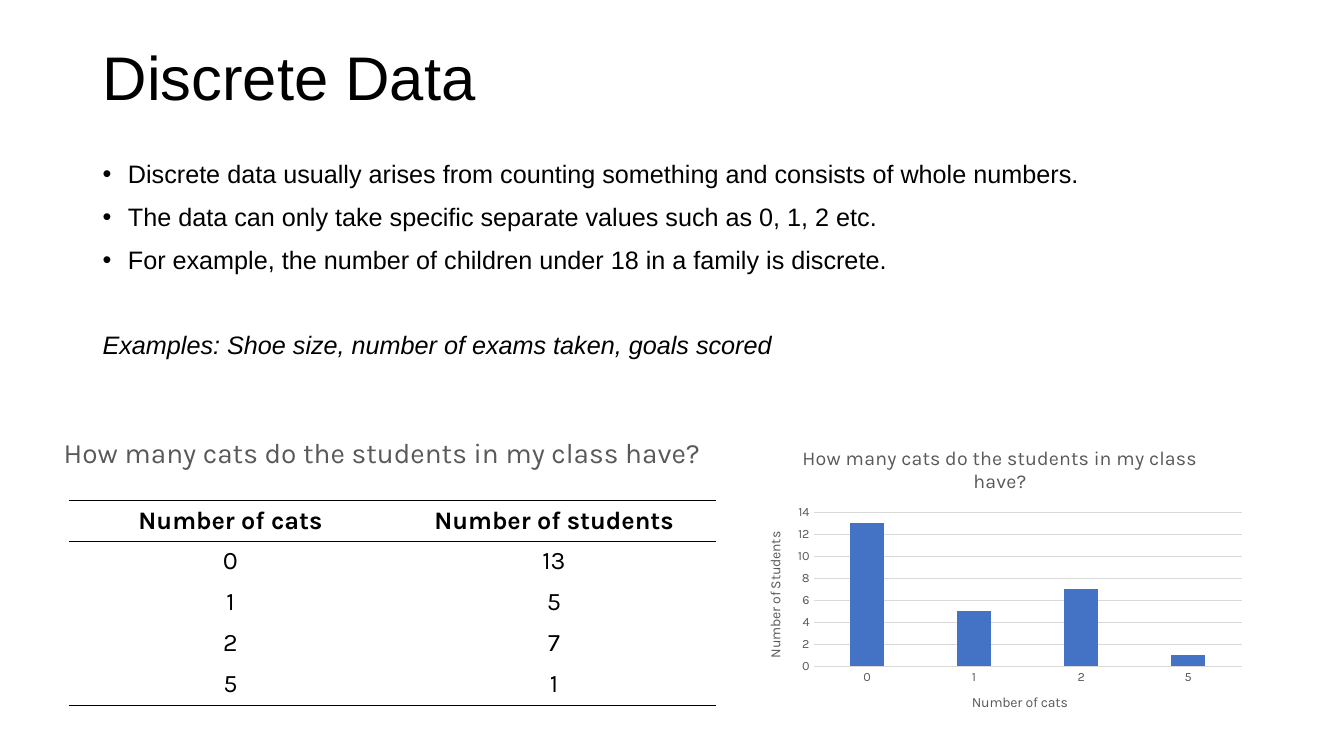
"""Build a slide on discrete data with a list, a table and a column chart."""
import dataclasses

import pptx
import pptx.chart.data
import pptx.dml.color
import pptx.enum.chart
import pptx.enum.text
import pptx.oxml
import pptx.oxml.ns
import pptx.util

Cm = pptx.util.Cm
Pt = pptx.util.Pt
ALIGN = pptx.enum.text.PP_ALIGN
ANCHOR = pptx.enum.text.MSO_ANCHOR
TICK = pptx.enum.chart.XL_TICK_MARK


@dataclasses.dataclass(frozen=True)
class Theme:
    sans: str = "Arial"
    round: str = "Karla"
    ink: str = "000000"
    grey: str = "595959"
    rule: str = "D9D9D9"
    bar: str = "4472C4"
    head: int = 44
    label: int = 20
    text: int = 18
    chart: int = 14
    axis: int = 10
    tick: int = 9


def tint(code):
    return pptx.dml.color.RGBColor.from_string(code)


def style(font, size, color, face, bold=False, slant=False):
    font.size, font.name = Pt(size), face
    font.bold, font.italic = bold, slant
    font.color.rgb = tint(color)


def write(para, text, align=ALIGN.LEFT, before=0, after=0, lead=1.0, **look):
    run = para.add_run()
    run.text = text
    para.alignment = align
    para.space_before, para.space_after = Pt(before), Pt(after)
    para.line_spacing = lead
    style(run.font, **look)


def node(tag, inner="", **attrs):
    pairs = "".join(f' {key}="{val}"' for key, val in attrs.items())
    space = pptx.oxml.ns.nsdecls(*{"a", tag.split(":")[0]})
    return pptx.oxml.parse_xml(f"<{tag} {space}{pairs}>{inner}</{tag}>")


class Page:
    def __init__(self, deck, theme):
        self.theme = theme
        self.slide = deck.slides.add_slide(deck.slide_layouts[1])

    def place(self, shape, left, top, width, height):
        shape.left, shape.top = Cm(left), Cm(top)
        shape.width, shape.height = Cm(width), Cm(height)
        return shape.text_frame

    def title(self, text, *box):
        look = self.theme
        frame = self.place(self.slide.shapes.title, *box)
        frame.vertical_anchor = ANCHOR.MIDDLE
        write(frame.paragraphs[0], text, lead=0.9, size=look.head,
              color=look.ink, face=look.sans)

    def list(self, items, close, *box):
        look = self.theme
        frame = self.place(self.slide.placeholders[1], *box)
        frame.vertical_anchor = ANCHOR.TOP
        for index, text in enumerate([*items, close]):
            para = frame.add_paragraph() if index else frame.paragraphs[0]
            last = index == len(items)
            indent = 0 if last else Cm(0.64)
            props = para._p.get_or_add_pPr()
            props.set("marL", str(indent))
            props.set("indent", str(-indent))
            props.append(node("a:buNone") if last else node("a:buChar", char="•"))
            write(para, text, before=30 if last else 0, after=9, slant=last,
                  size=look.text, color=look.ink, face=look.sans)

    def label(self, text, *box):
        look = self.theme
        shape = self.slide.shapes.add_textbox(*map(Cm, box))
        shape.text_frame.word_wrap = True
        write(shape.text_frame.paragraphs[0], text, align=ALIGN.CENTER,
              size=look.label, color=look.grey, face=look.round)

    def edge(self, cell, shown):
        props = cell._tc.get_or_add_tcPr()
        color = node("a:srgbClr", val=self.theme.ink)
        solid = node("a:solidFill")
        solid.append(color)
        for side in "LRTB":
            line = node(f"a:ln{side}", w=Pt(1))
            if side in shown:
                line.append(node("a:solidFill", f'<a:srgbClr val="{self.theme.ink}"/>'))
            else:
                line.append(node("a:noFill"))
            props.append(line)

    def table(self, rows, *box):
        look = self.theme
        shape = self.slide.shapes.add_table(len(rows), len(rows[0]), *map(Cm, box))
        grid = shape.table
        grid.first_row = grid.horz_banding = False
        sides = {0: "TB", 1: "T", len(rows) - 1: "B"}
        for r, row in enumerate(rows):
            for c, text in enumerate(row):
                cell = grid.cell(r, c)
                self.edge(cell, sides.get(r, ""))
                cell.fill.background()
                write(cell.text_frame.paragraphs[0], text, align=ALIGN.CENTER,
                      bold=r == 0, size=look.text, color=look.ink, face=look.round)

    def axis(self, axis, text, turn=0):
        look = self.theme
        axis.major_tick_mark = axis.minor_tick_mark = TICK.NONE
        style(axis.tick_labels.font, look.tick, look.grey, look.round)
        frame = axis.axis_title.text_frame
        write(frame.paragraphs[0], text, align=ALIGN.CENTER, size=look.axis,
              color=look.grey, face=look.round)
        frame._txBody.bodyPr.set("rot", str(turn * 60000))

    def chart(self, text, rows, *box):
        look = self.theme
        data = pptx.chart.data.CategoryChartData()
        data.categories = [name for name, _ in rows[1:]]
        data.add_series("Series 1", [int(count) for _, count in rows[1:]])
        kind = pptx.enum.chart.XL_CHART_TYPE.COLUMN_CLUSTERED
        chart = self.slide.shapes.add_chart(kind, *map(Cm, box), data).chart
        style(chart.font, look.axis, look.ink, look.round)
        chart.has_legend = False
        write(chart.chart_title.text_frame.paragraphs[0], text, align=ALIGN.CENTER,
              size=look.chart, color=look.grey, face=look.round)
        chart.chart_title.include_in_layout = False

        plot = chart.plots[0]
        plot.gap_width, plot.overlap = 219, -27
        plot.vary_by_categories = False
        fill = plot.series[0].format.fill
        fill.solid()
        fill.fore_color.rgb = tint(look.bar)

        self.axis(chart.category_axis, "Number of cats")
        self.axis(chart.value_axis, "Number of Students", turn=-90)
        chart.value_axis.minimum_scale, chart.value_axis.maximum_scale = 0, 14
        chart.value_axis.major_unit = 2
        chart.value_axis.format.line.fill.background()
        for part in (chart.category_axis, chart.value_axis.major_gridlines):
            part.format.line.color.rgb = tint(look.rule)
            part.format.line.width = Pt(0.75)

        spots = {"layoutTarget": "inner", "xMode": "edge", "yMode": "edge",
                 "x": 0.13, "y": 0.27, "w": 0.85, "h": 0.51}
        inner = "".join(f'<c:{key} val="{val}"/>' for key, val in spots.items())
        area = chart._chartSpace.chart.plotArea
        for old in area.findall(pptx.oxml.ns.qn("c:layout")):
            area.remove(old)
        area.insert(0, node("c:layout", f"<c:manualLayout>{inner}</c:manualLayout>"))


def main():
    deck = pptx.Presentation()
    deck.slide_width, deck.slide_height = Cm(33.87), Cm(19.05)
    page = Page(deck, Theme())
    topic = "How many cats do the students in my class have?"
    rows = [("Number of cats", "Number of students"),
            ("0", "13"), ("1", "5"), ("2", "7"), ("5", "1")]
    page.title("Discrete Data", 2.33, 0.2, 29.21, 3.68)
    page.list([
        "Discrete data usually arises from counting something and consists of whole numbers.",
        "The data can only take specific separate values such as 0, 1, 2 etc.",
        "For example, the number of children under 18 in a family is discrete.",
    ], "Examples: Shoe size, number of exams taken, goals scored",
        2.33, 3.87, 29.21, 12.09)
    page.table(rows, 1.73, 12.62, 16.31, 5.16)
    page.chart(topic, rows, 18.85, 10.85, 12.7, 7.62)
    page.label(topic, -0.64, 10.85, 20.55, 1.11)
    deck.save("out.pptx")


if __name__ == "__main__":
    main()
